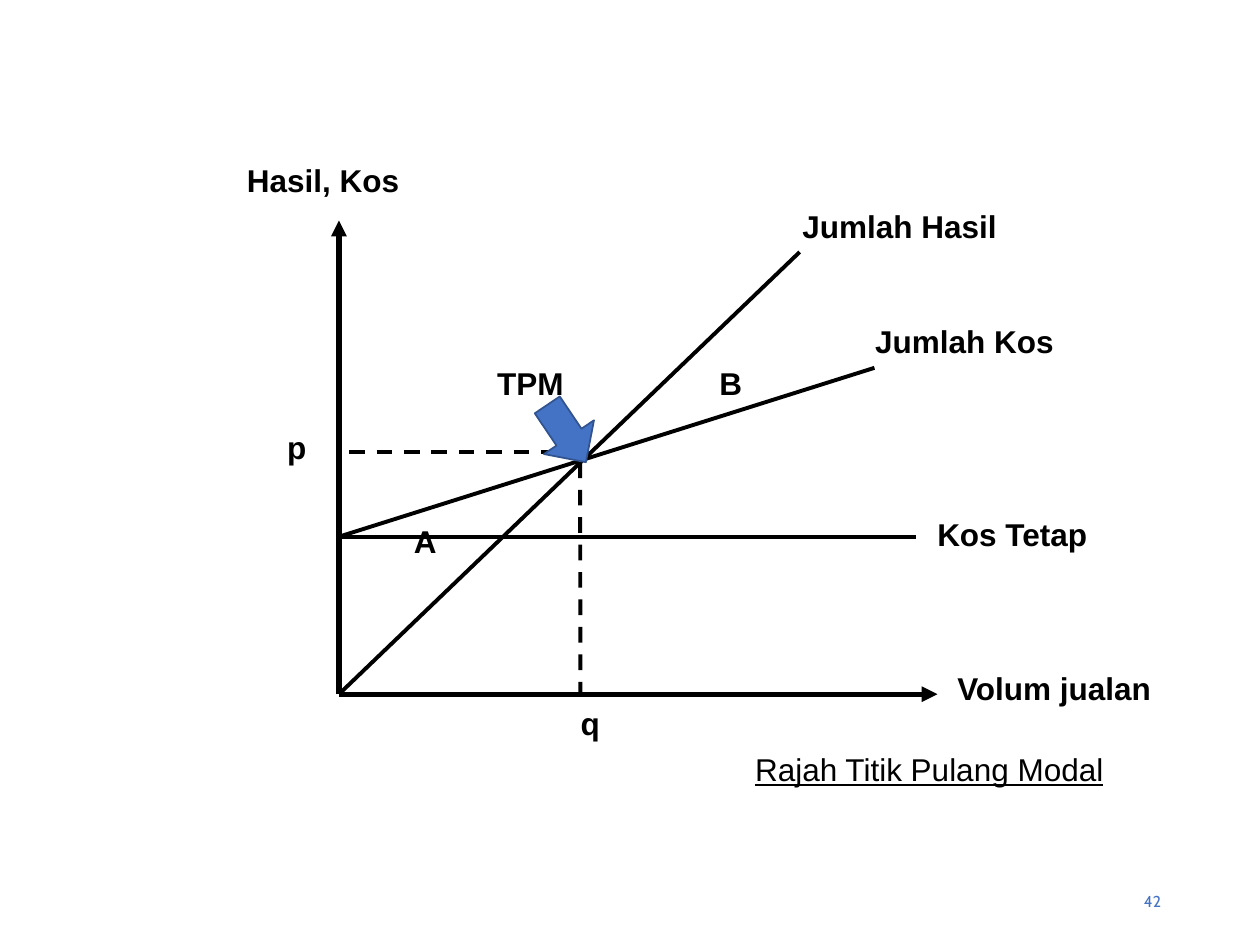
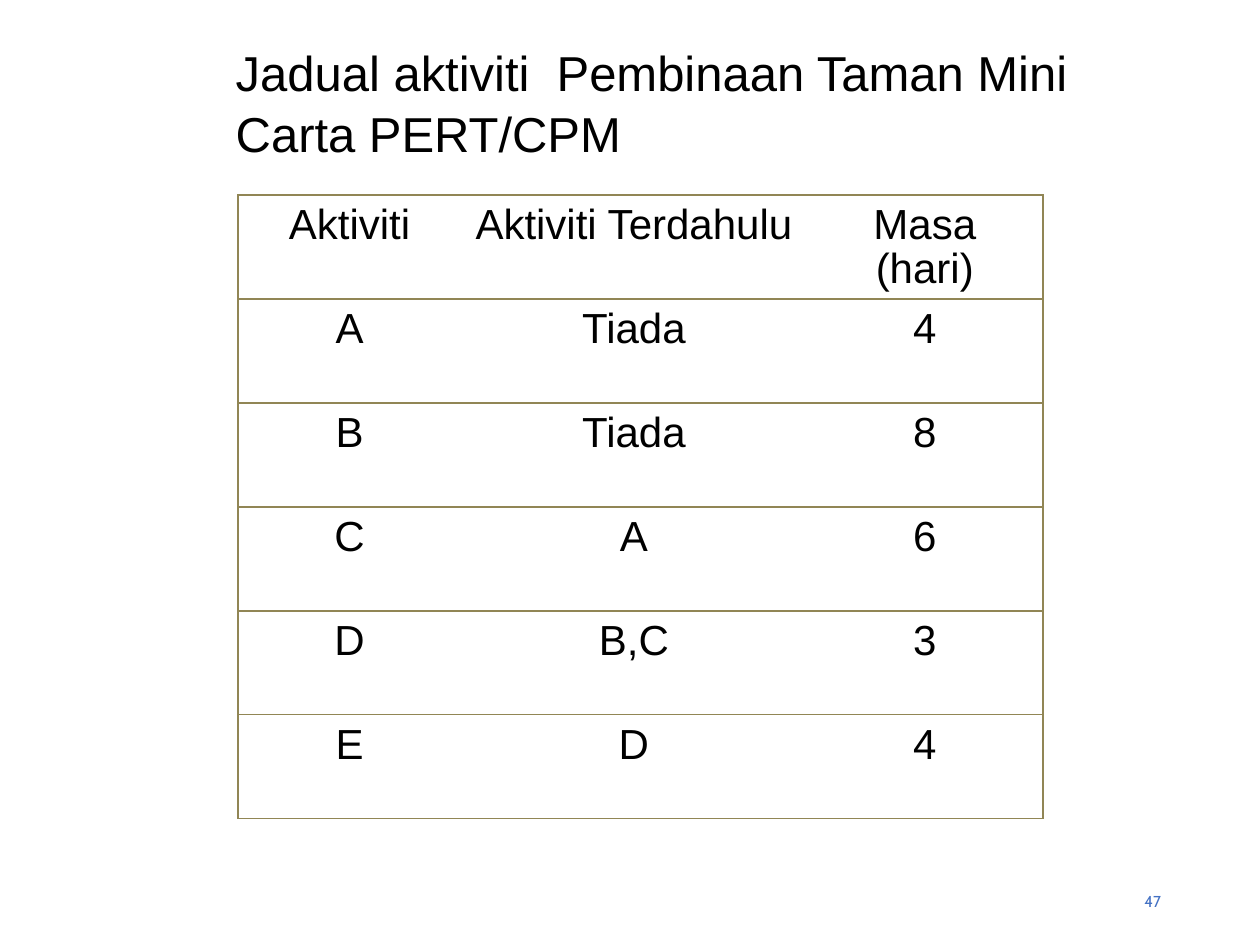
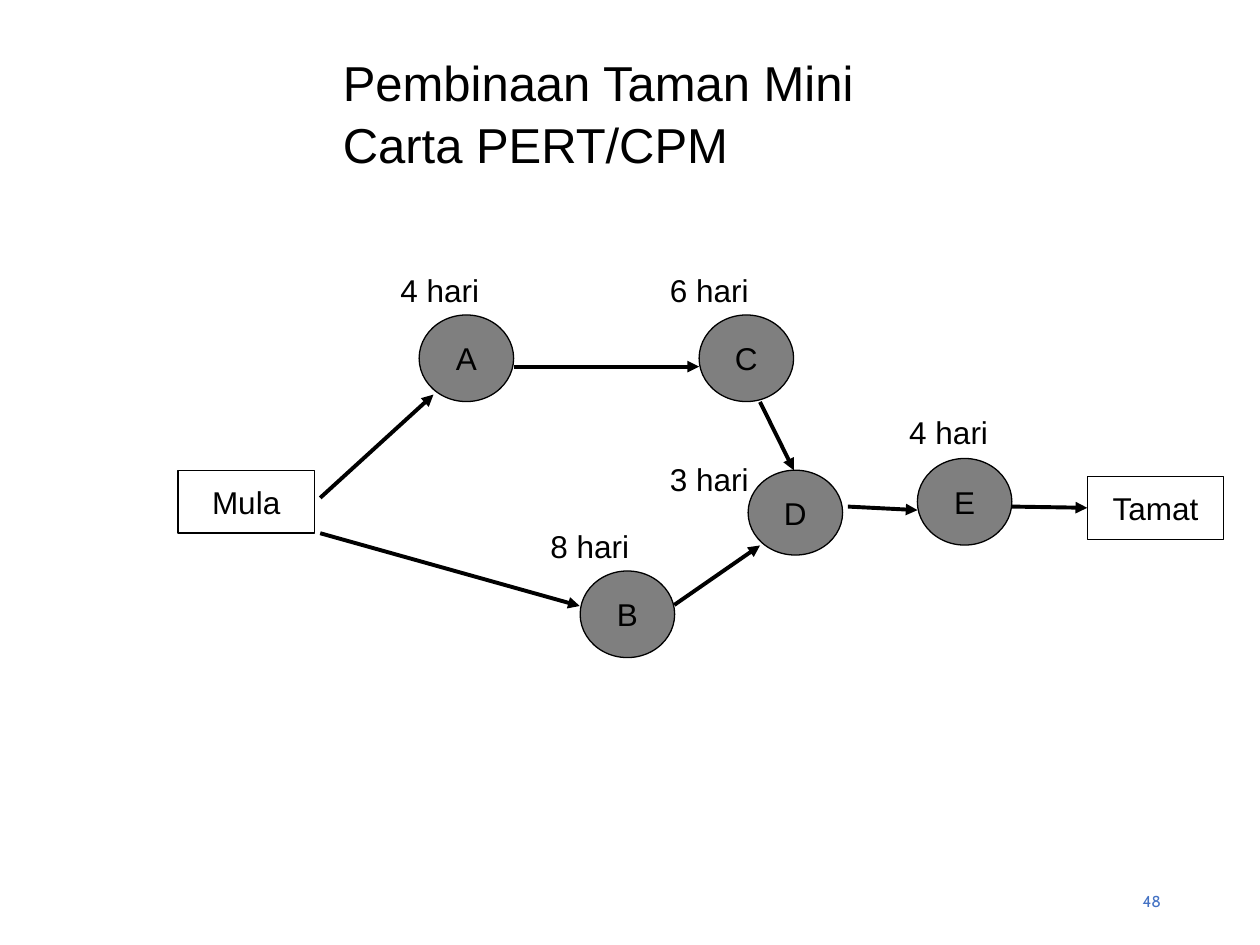
from lxml.etree import SubElement
from pptx import Presentation
from pptx.dml.color import RGBColor
from pptx.enum.dml import MSO_LINE
from pptx.enum.shapes import MSO_CONNECTOR, MSO_SHAPE
from pptx.enum.text import MSO_ANCHOR, MSO_AUTO_SIZE, PP_ALIGN
from pptx.oxml import parse_xml
from pptx.oxml.ns import nsdecls, qn
from pptx.util import Pt

BLACK, WHITE, GREY = "000000", "FFFFFF", "7F7F7F"
BLUE, DARK_BLUE, OLIVE = "4472C4", "31538F", "918655"
color = RGBColor.from_string


def write(frame, text, size=18, align=PP_ALIGN.LEFT, bold=False,
          font="Arial", ink=BLACK):
    frame.word_wrap = True
    frame.text = text
    for paragraph in frame.paragraphs:
        paragraph.alignment = align
        paragraph.font.size = Pt(size)
        paragraph.font.bold = bold
        paragraph.font.name = font
        paragraph.font.color.rgb = color(ink)


def draw_line(slide, start, end, weight=2.25, arrow=False, dashed=False):
    connector = slide.shapes.add_connector(
        MSO_CONNECTOR.STRAIGHT, *map(Pt, start + end))
    connector.line.width = Pt(weight)
    connector.line.color.rgb = color(BLACK)
    if dashed:
        connector.line.dash_style = MSO_LINE.DASH
    properties = connector._element.spPr
    if arrow:
        SubElement(properties.find(qn("a:ln")), qn("a:tailEnd"), type="triangle")
    SubElement(properties, qn("a:effectLst"))


presentation = Presentation()
presentation.slide_width, presentation.slide_height = Pt(720), Pt(540)
title_only, blank = presentation.slide_layouts[5], presentation.slide_layouts[6]

# Break-even diagram
break_even = presentation.slides.add_slide(blank)
origin = (193.7, 396.7)
fixed_cost_start = (193.7, 306.7)
for axis_end in [(193.7, 126), (535.7, 396.7)]:
    draw_line(break_even, origin, axis_end, weight=3, arrow=True)
draw_line(break_even, origin, (457, 144))
for cost_end in [(499.7, 210.2), (523.5, 306.7)]:
    draw_line(break_even, fixed_cost_start, cost_end)
draw_line(break_even, (199.5, 258.5), (325.5, 258.5), dashed=True)
draw_line(break_even, (331.5, 264.2), (331.7, 396.7), dashed=True)

for label, left, top, width in [
    ("A", 229.5, 294.5, 31),
    ("B", 404, 204.5, 27),
    ("TPM", 277, 204.5, 77),
    ("Jumlah Hasil", 451.5, 114.5, 130),
    ("Jumlah Kos", 493, 180.7, 118),
    ("Hasil, Kos", 134, 88.5, 112),
    ("Volum jualan", 540, 378.7, 147),
    ("Kos Tetap", 528.5, 291, 104),
    ("p", 157, 241.2, 27),
    ("q", 324.7, 399, 30),
]:
    box = break_even.shapes.add_textbox(Pt(left), Pt(top), Pt(width), Pt(30))
    write(box.text_frame, label, bold=True)

caption = break_even.shapes.add_textbox(Pt(375), Pt(425), Pt(312), Pt(36))
write(caption.text_frame, "Rajah Titik Pulang Modal", align=PP_ALIGN.CENTER)
caption.text_frame.paragraphs[0].font.underline = True

pointer = break_even.shapes.add_shape(
    MSO_SHAPE.RIGHT_ARROW, Pt(304), Pt(230.5), Pt(39.5), Pt(34.5))
pointer.rotation = 56
pointer.shadow.inherit = False
pointer.fill.solid()
pointer.fill.fore_color.rgb = color(BLUE)
pointer.line.color.rgb = color(DARK_BLUE)
pointer.line.width = Pt(1)

# Activity table and network titles
schedule = presentation.slides.add_slide(title_only)
network = presentation.slides.add_slide(title_only)
for slide, heading, left, top, width, height in [
    (schedule, "Jadual aktiviti  Pembinaan Taman Mini", 127.5, 49.5, 533.5, 47),
    (network, "Pembinaan Taman Mini", 188.7, 37.5, 429, 65),
]:
    title = slide.shapes.title
    title.left, title.top, title.width, title.height = map(
        Pt, (left, top, width, height))
    write(title.text_frame, heading + "\nCarta PERT/CPM", size=28)
    title.text_frame.auto_size = MSO_AUTO_SIZE.NONE
    title.text_frame.vertical_anchor = MSO_ANCHOR.BOTTOM
    title.text_frame.paragraphs[1].space_before = Pt(1.5)

# Activity table
activities = [
    ("Aktiviti", "Aktiviti Terdahulu", "Masa (hari)"),
    ("A", "Tiada", "4"),
    ("B", "Tiada", "8"),
    ("C", "A", "6"),
    ("D", "B,C", "3"),
    ("E", "D", "4"),
]
column_widths = [127.5, 197.5, 135]
row_height = 59.4
table = schedule.shapes.add_table(
    len(activities), len(column_widths), Pt(136), Pt(111.5),
    Pt(sum(column_widths)), Pt(row_height * len(activities))).table
table.first_row = table.horz_banding = False
for column, width in zip(table.columns, column_widths):
    column.width = Pt(width)
for row_index, activity in enumerate(activities):
    table.rows[row_index].height = Pt(row_height)
    for column_index, entry in enumerate(activity):
        cell = table.cell(row_index, column_index)
        write(cell.text_frame, entry, size=24, align=PP_ALIGN.CENTER)
        cell.text_frame.paragraphs[0].line_spacing = 0.93
        cell.margin_top = Pt(5.5)
        cell.fill.solid()
        cell.fill.fore_color.rgb = color(WHITE)
        ruled = {"lnL": column_index == 0,
                 "lnR": column_index == len(column_widths) - 1,
                 "lnT": True, "lnB": True}
        for position, (edge, visible) in enumerate(ruled.items()):
            paint = (f'<a:solidFill><a:srgbClr val="{OLIVE}"/></a:solidFill>'
                     if visible else "<a:noFill/>")
            cell._tc.get_or_add_tcPr().insert(position, parse_xml(
                f'<a:{edge} {nsdecls("a")} w="{Pt(1)}">{paint}</a:{edge}>'))

# Activity network
for name, kind, fill, left, top, width, height in [
    ("Mula", MSO_SHAPE.RECTANGLE, WHITE, 101.7, 268.7, 78, 36),
    ("E", MSO_SHAPE.OVAL, GREY, 524.2, 262, 54, 49.5),
    ("D", MSO_SHAPE.OVAL, GREY, 427.5, 268.7, 54, 48.5),
    ("C", MSO_SHAPE.OVAL, GREY, 399.5, 180, 54, 49.5),
    ("A", MSO_SHAPE.OVAL, GREY, 239.5, 180, 54, 49.5),
    ("B", MSO_SHAPE.OVAL, GREY, 331.5, 326.3, 54, 49.5),
    ("Tamat", MSO_SHAPE.RECTANGLE, WHITE, 621.3, 272.2, 78, 36),
]:
    node = network.shapes.add_shape(kind, *map(Pt, (left, top, width, height)))
    node.shadow.inherit = False
    node.fill.solid()
    node.fill.fore_color.rgb = color(fill)
    node.line.color.rgb = color(BLACK)
    node.line.width = Pt(0.75)
    write(node.text_frame, name, align=PP_ALIGN.CENTER)
    node.text_frame.vertical_anchor = MSO_ANCHOR.MIDDLE

for start, end in [
    ((183, 284.5), (247.7, 225.5)),
    ((293.7, 209.5), (399.5, 209.5)),
    ((183, 304.7), (331.3, 346.3)),
    ((434.3, 229.7), (453.6, 268.7)),
    ((385.3, 345.7), (434.3, 311.7)),
    ((484.5, 289.5), (524.3, 291.5)),
    ((578.3, 289.5), (621.3, 290.2)),
]:
    draw_line(network, start, end, arrow=True)

for days, left, top in [
    (4, 221.7, 151.2),
    (6, 375.7, 151.2),
    (8, 307.5, 297.4),
    (4, 512.5, 232.6),
    (3, 375.7, 259.2),
]:
    duration = network.shapes.add_textbox(Pt(left), Pt(top), Pt(78), Pt(29))
    write(duration.text_frame, f"{days} hari")

# Page numbers
for slide, number in zip(presentation.slides, (42, 47, 48)):
    footer = slide.shapes.add_textbox(Pt(508.5), Pt(500.5), Pt(162), Pt(28.8))
    write(footer.text_frame, str(number), size=9, align=PP_ALIGN.RIGHT,
          font="Cabin", ink=BLUE)
    footer.text_frame.vertical_anchor = MSO_ANCHOR.MIDDLE

presentation.save("out.pptx")
